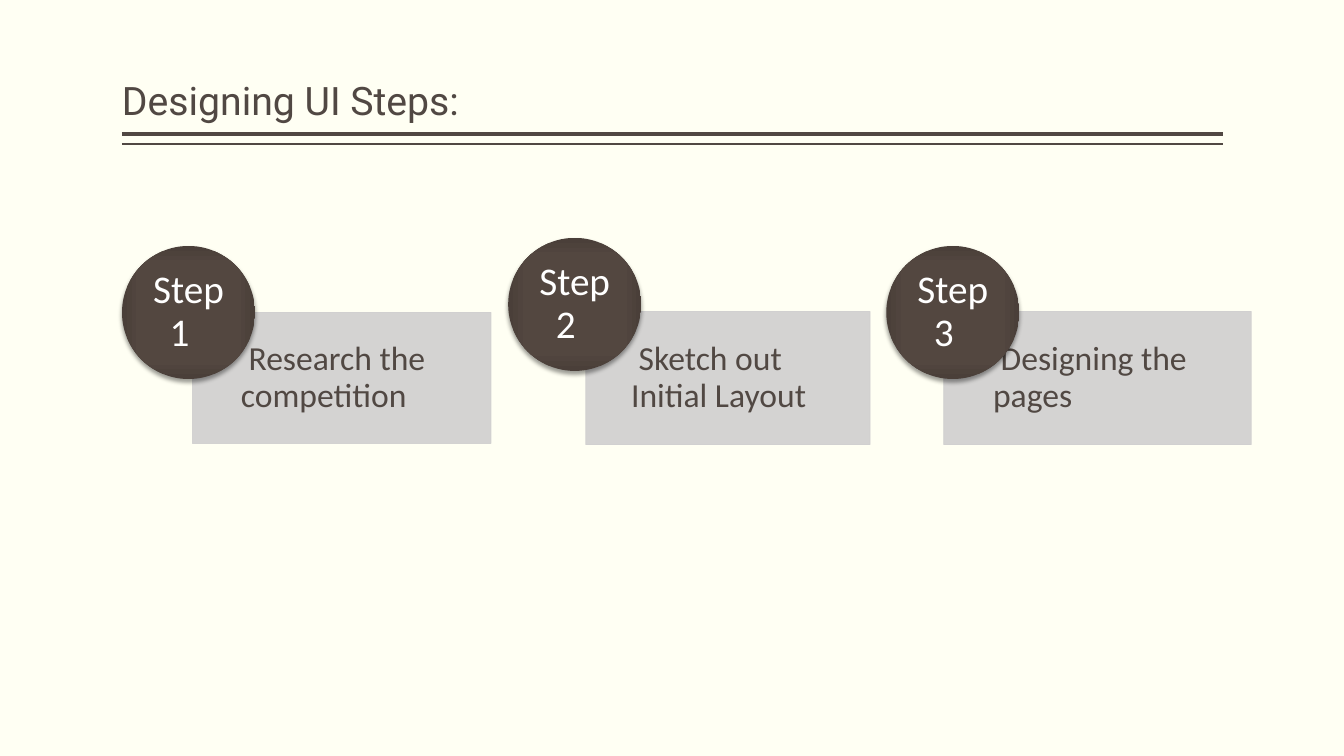
from pptx import Presentation
from pptx.dml.color import RGBColor
from pptx.enum.shapes import MSO_CONNECTOR, MSO_SHAPE
from pptx.enum.text import MSO_ANCHOR, MSO_AUTO_SIZE, PP_ALIGN
from pptx.oxml import parse_xml
from pptx.oxml.ns import nsdecls, qn
from pptx.util import Inches, Pt
from lxml.etree import SubElement

INK, GREY, WHITE, CREAM = "514843", "D0CFCF", "FFFFFF", "FFFFF3"
SHADES = [(0, "544740"), (71, "534740"), (100, "4A3F39")]


def tint(code):
    return RGBColor.from_string(code)


def place(*sizes):
    return [Inches(size) for size in sizes]


def fade(shape, share):
    for code in shape._element.spPr.iter(qn("a:srgbClr")):
        SubElement(code, qn("a:alpha"), val=str(share * 1000))


def write(shape, text, size=24, font="Calibri", color=INK, align=PP_ALIGN.LEFT,
          anchor=MSO_ANCHOR.MIDDLE, inset=(0, 0, 0, 0)):
    frame = shape.text_frame
    frame.word_wrap = True
    frame.auto_size = MSO_AUTO_SIZE.NONE
    frame.vertical_anchor = anchor
    (frame.margin_left, frame.margin_top,
     frame.margin_right, frame.margin_bottom) = place(*inset)
    line = frame.paragraphs[0]
    line.alignment = align
    line.line_spacing = 0.9
    run = line.add_run()
    run.text = text
    run.font.size = Pt(size)
    run.font.name = font
    run.font.color.rgb = tint(color)


class Deck:
    def __init__(self):
        self.show = Presentation()
        self.show.slide_width, self.show.slide_height = place(13.33, 7.5)
        self.slide = self.show.slides.add_slide(self.show.slide_layouts[5])
        self.shapes = self.slide.shapes
        fill = self.slide.background.fill
        fill.solid()
        fill.fore_color.rgb = tint(CREAM)

    def title(self, text, left, top, width, height):
        head = self.shapes.title
        head.left, head.top, head.width, head.height = place(left, top, width, height)
        write(head, text, size=28, font="Roboto", anchor=MSO_ANCHOR.BOTTOM,
              inset=(0, 0.05, 0, 0.05))

    def rule(self, left, right, top, weight):
        rule = self.shapes.add_connector(
            MSO_CONNECTOR.STRAIGHT, *place(left, top, right, top))
        rule.line.color.rgb = tint(INK)
        rule.line.width = Pt(weight)
        SubElement(rule._element.spPr, qn("a:effectLst"))

    def label(self, text, *box, **style):
        write(self.shapes.add_textbox(*place(*box)), text, **style)

    def panel(self, *box):
        panel = self.shapes.add_shape(MSO_SHAPE.RECTANGLE, *place(*box))
        panel.shadow.inherit = False
        panel.fill.solid()
        panel.fill.fore_color.rgb = tint(GREY)
        panel.line.color.rgb = tint(GREY)
        panel.line.width = Pt(0.5)
        fade(panel, 90)

    def disc(self, left, top, size):
        disc = self.shapes.add_shape(MSO_SHAPE.OVAL, *place(left, top, size, size))
        disc.line.fill.background()
        disc.fill.background()
        disc.shadow.inherit = False
        props = disc._element.spPr
        stops = "".join(
            f'<a:gs pos="{pos * 1000}"><a:srgbClr val="{code}"/></a:gs>'
            for pos, code in SHADES)
        props.replace(props.find(qn("a:noFill")), parse_xml(
            f'<a:gradFill {nsdecls("a")} rotWithShape="1"><a:gsLst>{stops}</a:gsLst>'
            '<a:path path="rect"><a:fillToRect l="50000" t="50000" r="50000" b="50000"/>'
            '</a:path></a:gradFill>'))
        props.find(qn("a:effectLst")).append(parse_xml(
            f'<a:outerShdw {nsdecls("a")} blurRad="{Pt(3.1)}" dist="{Pt(2)}" '
            'dir="5400000" rotWithShape="0"><a:srgbClr val="000000">'
            '<a:alpha val="38000"/></a:srgbClr></a:outerShdw>'))

    def step(self, name, text, panel, indent, disc):
        left, top, width, height = panel
        self.panel(*panel)
        self.label(text, left + indent, top, width - indent, height,
                   inset=(0, 0.19, 0.19, 0.19))
        size, pad = 1.32, 0.195
        self.disc(*disc, size)
        inner = size - 2 * pad
        self.label(name, disc[0] + pad, disc[1] + pad, inner, inner,
                   size=28, color=WHITE, align=PP_ALIGN.CENTER)


deck = Deck()
for top, weight in [(1.33, 3), (1.43, 1)]:
    deck.rule(1.21, 12.13, top, weight)
deck.title("Designing UI Steps:", 1.21, 0.08, 10.92, 1.2)

steps = [
    (" Research the competition", (1.91, 3.1, 2.96, 1.3), 0.48, (1.21, 2.44)),
    (" Sketch out Initial Layout", (5.81, 3.09, 2.82, 1.32), 0.45, (5.04, 2.36)),
    (" Designing the pages", (9.36, 3.09, 3.05, 1.32), 0.49, (8.79, 2.44)),
]
for count, step in enumerate(steps, 1):
    deck.step(f"Step {count}  ", *step)

deck.show.save("out.pptx")
